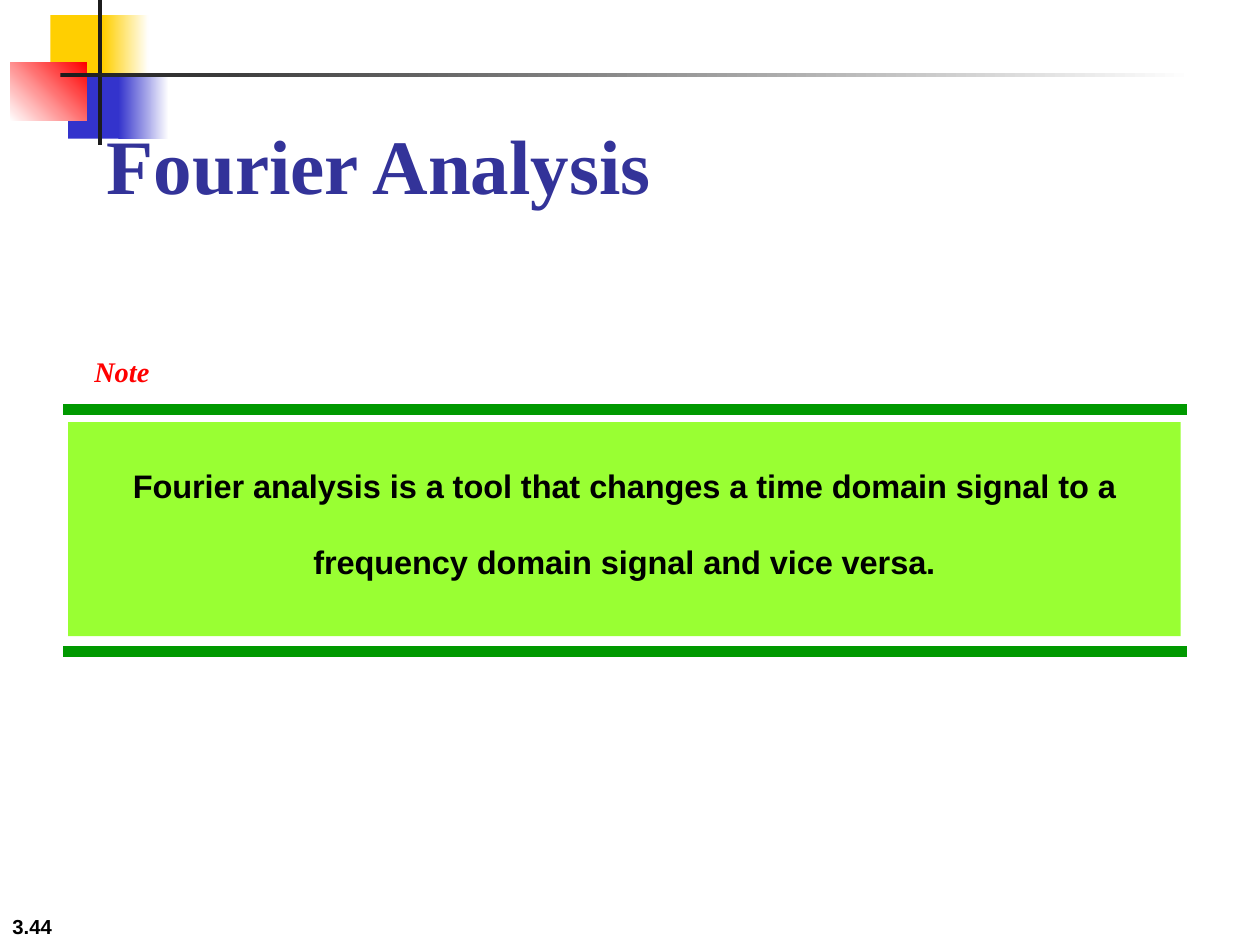
from pptx import Presentation
from pptx.dml.color import RGBColor
from pptx.enum.shapes import MSO_CONNECTOR, MSO_SHAPE
from pptx.enum.text import MSO_ANCHOR, PP_ALIGN
from pptx.oxml.ns import qn
from pptx.util import Inches, Pt

RECT = MSO_SHAPE.RECTANGLE
LINE = MSO_CONNECTOR.STRAIGHT
TOP, MID, LOW = MSO_ANCHOR.TOP, MSO_ANCHOR.MIDDLE, MSO_ANCHOR.BOTTOM
LEFT, CENTER = PP_ALIGN.LEFT, PP_ALIGN.CENTER
SANS, SERIF = "Arial", "Times New Roman"

COLORS = {
    "white": "FFFFFF", "black": "000000", "ink": "1C1C1C", "gold": "FFCF01",
    "blue": "3333CC", "red": "FF0000", "green": "009900", "lime": "99FF33",
    "title": "333399",
}


class Page:
    """A slide on a grid of 100 columns by 75 rows."""

    def __init__(self, deck):
        self.slide = deck.slides.add_slide(deck.slide_layouts[6])
        self.col = deck.slide_width / 100
        self.row = deck.slide_height / 75

    def grid(self, x, y, w, h):
        return [int(n) for n in (x * self.col, y * self.row,
                                 w * self.col, h * self.row)]

    def color(self, name):
        return RGBColor.from_string(COLORS[name])

    def block(self, area, start, end=None, angle=0):
        """Plain rectangle, or one fading from start to end."""
        shape = self.slide.shapes.add_shape(RECT, *self.grid(*area))
        shape.shadow.inherit = False
        shape.line.fill.background()
        if end:
            shape.fill.gradient()
            shape.fill.gradient_angle = angle
            for stop, name in zip(shape.fill.gradient_stops, (start, end)):
                stop.color.rgb = self.color(name)
        else:
            shape.fill.solid()
            shape.fill.fore_color.rgb = self.color(start)
        return shape

    def rule(self, x, y, w, name, width):
        left, top, span, _ = self.grid(x, y, w, 0)
        line = self.slide.shapes.add_connector(LINE, left, top, left + span, top)
        line.line.color.rgb = self.color(name)
        line.line.width = Pt(width)
        props = line._element.spPr
        props.append(props.makeelement(qn("a:effectLst"), {}))

    def words(self, shape, text, size, font, name, anchor=TOP, align=LEFT,
              italic=False, sub=True):
        """Bold text, set as a subscript when sub is true."""
        frame = shape.text_frame
        frame.word_wrap = True
        frame.vertical_anchor = anchor
        frame.text = text
        para = frame.paragraphs[0]
        para.alignment = align
        run = para.runs[0]
        run.font.size = Pt(size)
        run.font.name = font
        run.font.bold = True
        run.font.italic = italic
        run.font.color.rgb = self.color(name)
        if sub:
            run._r.get_or_add_rPr().set("baseline", "-25000")

    def label(self, area, *args, **style):
        box = self.slide.shapes.add_textbox(*self.grid(*area))
        self.words(box, *args, **style)


def main():
    deck = Presentation()
    deck.slide_width, deck.slide_height = Inches(10), Inches(7.5)
    page = Page(deck)

    # Page number
    page.label((0, 70, 20.8, 5), "3.44", 20, SANS, "black", anchor=LOW)

    # Corner ornament
    page.block((4, 1.2, 4.8, 5.2), "gold")
    page.block((8.2, 1.2, 3.6, 5.2), "gold", "white")
    page.block((5.4, 5.8, 4.6, 5.2), "blue")
    page.block((9.4, 5.8, 4, 5.2), "blue", "white")
    page.block((0.8, 5, 6.1, 4.6), "white", "red", angle=45)
    page.block((7.8, 0, 0.3, 11.5), "ink")
    page.block((4.8, 5.8, 90, 0.3), "ink", "white")

    # Note between two rules
    for y in (32.5, 51.7):
        page.rule(5, y, 89.2, "green", 6)
    note = page.block((5.4, 33.5, 88.3, 17), "lime")
    page.words(note, "Fourier analysis is a tool that changes a time domain "
               "signal to a frequency domain signal and vice versa.",
               32, SANS, "black", align=CENTER)
    page.label((6.5, 25, 9.6, 5.7), "Note", 28, SERIF, "red", italic=True)

    # Title
    page.label((7.5, 6.7, 85, 12.5), "Fourier Analysis", 44, SERIF, "title",
               anchor=MID, sub=False)

    deck.save("out.pptx")


if __name__ == "__main__":
    main()
